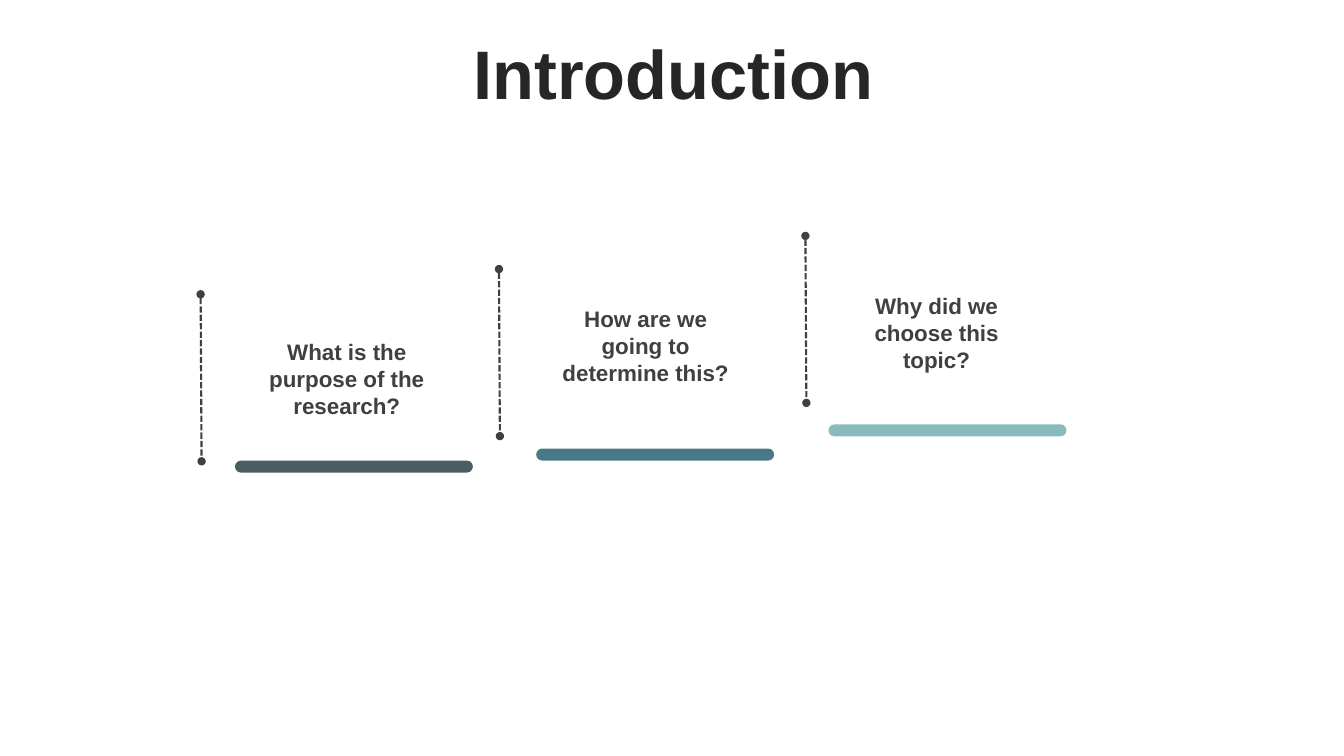
from pptx import Presentation
from pptx.dml.color import RGBColor
from pptx.enum.dml import MSO_LINE_DASH_STYLE as Dash
from pptx.enum.shapes import MSO_CONNECTOR as Connector, MSO_SHAPE as Shape
from pptx.enum.text import MSO_ANCHOR as Anchor, MSO_AUTO_SIZE as AutoSize, PP_ALIGN as Align
from pptx.oxml.ns import qn
from pptx.util import Pt

COLORS = {
    "title": "262626",
    "text": "404040",
    "slate": "4A5D62",
    "teal": "4A7886",
    "aqua": "88BABE",
}

QUESTIONS = [
    ("What is the purpose of the research?", "slate",
     (167.8, 329), (175, 238.3, 145.4), (143.3, 210.2)),
    ("How are we going to determine this?", "teal",
     (383, 320.4), (388.1, 214.6, 146.2), (356.4, 192.2)),
    ("Why did we choose this topic?", "aqua",
     (591.8, 303.1), (593.3, 205.2, 151.4), (575.3, 168.5)),
]


class SlideBuilder:
    font = "Arial"
    bar_size = (170, 8.6)
    rule_span = (0.7, 119.3)

    def __init__(self, slide):
        self.slide = slide

    def color(self, name):
        return RGBColor.from_string(COLORS[name])

    def text(self, text, left, top, width, height, size=16, color="text",
             anchor=Anchor.TOP, spacing=None, grow=True):
        box = self.slide.shapes.add_textbox(Pt(left), Pt(top), Pt(width), Pt(height))
        frame = box.text_frame
        frame.word_wrap = True
        frame.auto_size = AutoSize.SHAPE_TO_FIT_TEXT if grow else AutoSize.NONE
        frame.vertical_anchor = anchor
        para = frame.paragraphs[0]
        para.alignment = Align.CENTER
        para.line_spacing = spacing
        span = para.add_run()
        span.text = text
        span.font.name = self.font
        span.font.size = Pt(size)
        span.font.bold = True
        span.font.color.rgb = self.color(color)

    def bar(self, left, top, color):
        width, height = self.bar_size
        bar = self.slide.shapes.add_shape(
            Shape.ROUNDED_RECTANGLE, Pt(left), Pt(top), Pt(width), Pt(height))
        bar.adjustments[0] = 0.5
        bar.shadow.inherit = False
        bar.fill.solid()
        bar.fill.fore_color.rgb = self.color(color)
        bar.line.fill.background()

    def dotted_rule(self, left, top):
        across, down = self.rule_span
        rule = self.slide.shapes.add_connector(
            Connector.STRAIGHT, Pt(left), Pt(top), Pt(left + across), Pt(top + down))
        rule.line.color.rgb = self.color("text")
        rule.line.width = Pt(1.5)
        rule.line.dash_style = Dash.SQUARE_DOT
        outline = rule.line._get_or_add_ln()
        for end in ("a:headEnd", "a:tailEnd"):
            outline.makeelement(qn(end), {"type": "oval"})
            outline.append(outline.makeelement(qn(end), {"type": "oval"}))
        properties = rule._element.spPr
        properties.append(properties.makeelement(qn("a:effectLst"), {}))


def main():
    deck = Presentation()
    deck.slide_width, deck.slide_height = Pt(960), Pt(540)
    page = SlideBuilder(deck.slides.add_slide(deck.slide_layouts[6]))
    page.text("Introduction", 25.2, 26.6, 911.5, 56.9, size=49, color="title",
              anchor=Anchor.MIDDLE, spacing=0.9, grow=False)
    for question, color, bar_at, (left, top, width), rule_at in QUESTIONS:
        page.bar(*bar_at, color)
        page.text(question, left, top, width, 65.5)
        page.dotted_rule(*rule_at)
    deck.save("out.pptx")


if __name__ == "__main__":
    main()
